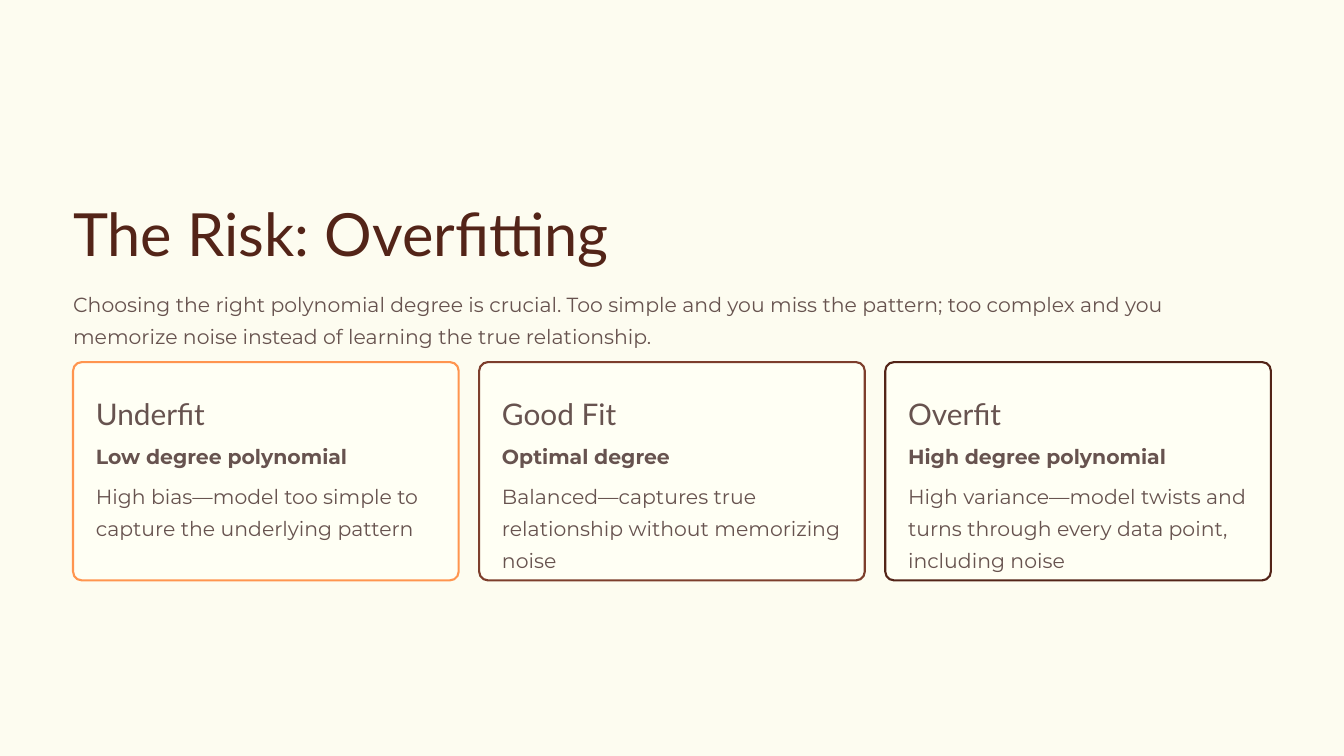
from pptx import Presentation
from pptx.dml.color import RGBColor
from pptx.enum.shapes import MSO_SHAPE as Shape
from pptx.util import Cm, Pt


def color(value):
    return RGBColor.from_string(value)


class SlideBuilder:
    """Holds the style and current slide, and adds text and cards to it."""

    heading_font = "Lato"
    body_font = "Montserrat"
    title_color = "532418"
    text_color = "67534F"
    background_color = "FDFCF0"
    card_color = "FFFFF4"
    body_size = 17.5
    body_spacing = 1.31

    def __init__(self, presentation):
        self.slide = presentation.slides.add_slide(presentation.slide_layouts[6])
        fill = self.slide.background.fill
        fill.solid()
        fill.fore_color.rgb = color(self.background_color)

    def text(self, words, left, top, width, height, font, size, spacing, ink, bold=False):
        box = self.slide.shapes.add_textbox(Cm(left), Cm(top), Cm(width), Cm(height))
        frame = box.text_frame
        frame.word_wrap = True
        frame.margin_left = frame.margin_right = 0
        frame.margin_top = frame.margin_bottom = 0
        paragraph = frame.paragraphs[0]
        paragraph.text = words
        paragraph.line_spacing = spacing
        paragraph.font.name = font
        paragraph.font.size = Pt(size)
        paragraph.font.bold = bold
        paragraph.font.color.rgb = color(ink)

    def title(self, words, left, top, width, height):
        self.text(words, left, top, width, height, self.heading_font, 51, 1.3, self.title_color)

    def heading(self, words, left, top, width, height):
        self.text(words, left, top, width, height, self.heading_font, 25.5, 1.29, self.text_color)

    def body(self, words, left, top, width, height, bold=False):
        self.text(words, left, top, width, height, self.body_font, self.body_size,
                  self.body_spacing, self.text_color, bold)

    def panel(self, left, top, width, height, border):
        shape = self.slide.shapes.add_shape(
            Shape.ROUNDED_RECTANGLE, Cm(left), Cm(top), Cm(width), Cm(height))
        shape.adjustments[0] = 0.04
        shape.shadow.inherit = False
        shape.fill.solid()
        shape.fill.fore_color.rgb = color(self.card_color)
        shape.line.color.rgb = color(border)
        shape.line.width = Pt(1.8)

    def card(self, left, top, heading, degree, description, lines, border):
        self.panel(left, top, 11.66, 6.6, border)
        text_left = left + 0.69
        self.heading(heading, text_left, top + 0.71, 9.07, 1.17)
        self.body(degree, text_left, top + 2.26, 10.27, 0.82, bold=True)
        self.body(description, text_left, top + 3.45, 10.27, 0.82 * lines)


def main():
    presentation = Presentation()
    presentation.slide_width = Cm(40.64)
    presentation.slide_height = Cm(22.86)
    builder = SlideBuilder(presentation)

    margin, card_top, card_pitch = 2.21, 10.95, 12.28
    builder.title("The Risk: Overfitting", margin, 5.31, 18.11, 2.36)
    builder.body(
        "Choosing the right polynomial degree is crucial. Too simple and you miss the pattern; "
        "too complex and you memorize noise instead of learning the true relationship.",
        margin, 8.61, 36.22, 1.64)

    cards = [
        ("Underfit", "Low degree polynomial",
         "High bias—model too simple to capture the underlying pattern", 2, "FF954F"),
        ("Good Fit", "Optimal degree",
         "Balanced—captures true relationship without memorizing noise", 3, "7D3E2C"),
        ("Overfit", "High degree polynomial",
         "High variance—model twists and turns through every data point, including noise",
         3, "532418"),
    ]
    for index, card in enumerate(cards):
        builder.card(margin + index * card_pitch, card_top, *card)

    presentation.save("out.pptx")


if __name__ == "__main__":
    main()
